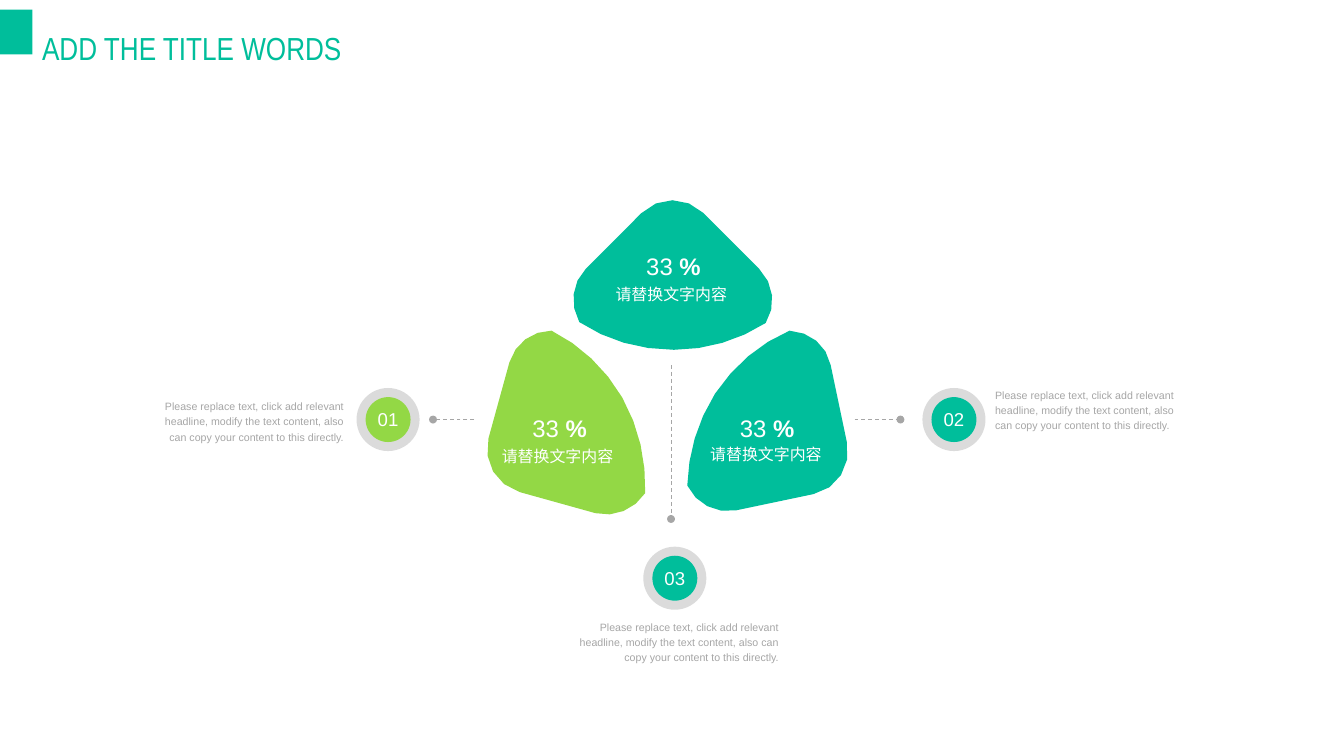
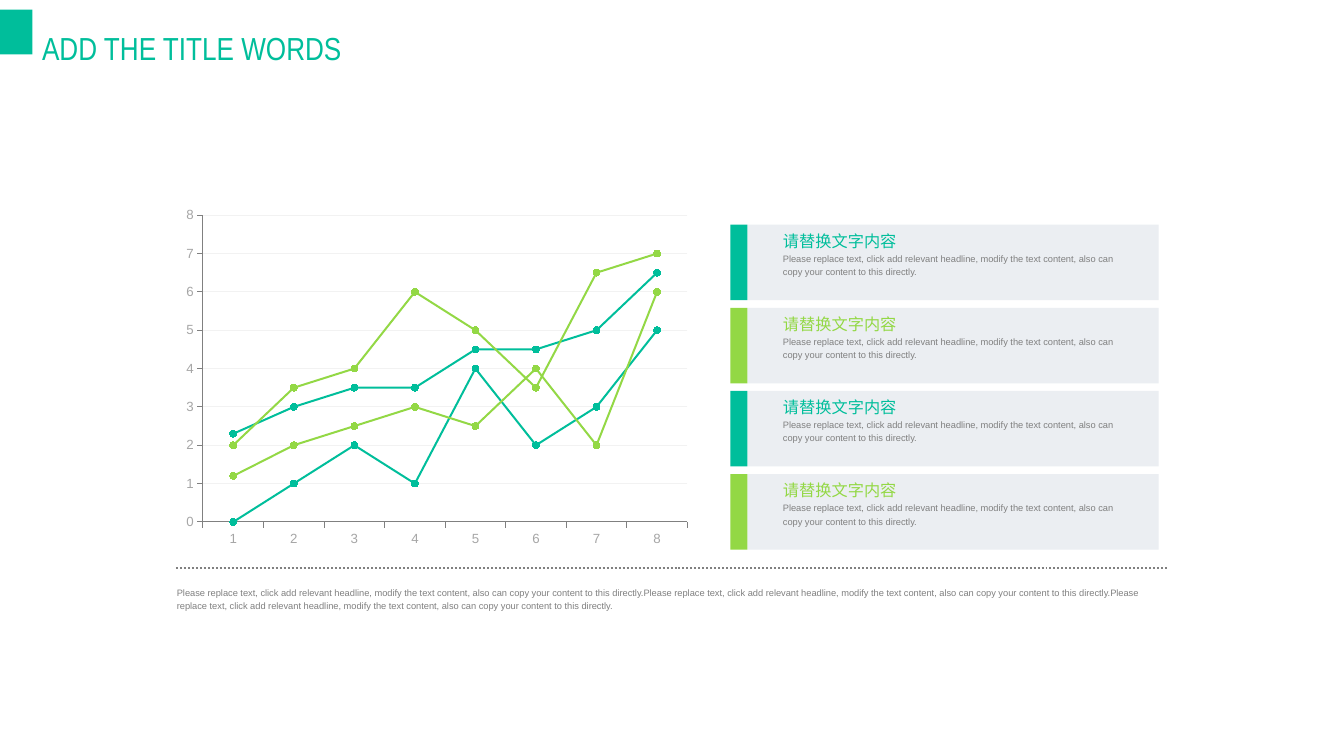
from dataclasses import dataclass

import pptx
import pptx.chart.data
import pptx.dml.color
import pptx.enum.chart
import pptx.enum.dml
import pptx.enum.shapes
import pptx.enum.text
import pptx.oxml.ns
import pptx.presentation
import pptx.shapes.autoshape
import pptx.slide
import pptx.text.text
import pptx.util

RGB = pptx.dml.color.RGBColor
SHAPE = pptx.enum.shapes.MSO_SHAPE
DASH = pptx.enum.dml.MSO_LINE
ALIGN = pptx.enum.text.PP_ALIGN
ANCHOR = pptx.enum.text.MSO_ANCHOR

TEAL = RGB(0x00, 0xBE, 0x9B)
LIME = RGB(0x93, 0xD8, 0x45)
WHITE = RGB(0xFF, 0xFF, 0xFF)
RING_GREY = RGB(0xDB, 0xDB, 0xDB)
CARD_GREY = RGB(0xEB, 0xEE, 0xF2)
GRID_GREY = RGB(0xF2, 0xF2, 0xF2)
LIGHT_GREY = RGB(0xA6, 0xA6, 0xA6)
MID_GREY = RGB(0x80, 0x80, 0x80)

EMU_PER_PX = 9144  # 100 px to the inch
FONT = "Arial"
TITLE_FONT = "Arial Narrow"
TITLE = "ADD THE TITLE WORDS"
HEADING = "请替换文字内容"
BODY = ("Please replace text, click add relevant headline, modify the text content, "
        "also can copy your content to this directly.")

Point = tuple[int, int]
Box = tuple[int, int, int, int]
# A segment of one point is a straight line, one of three points a cubic curve.
Segment = tuple[Point, ...]


@dataclass(frozen=True)
class Petal:
    color: RGB
    percent_at: Point
    label_at: Point
    start: Point
    segments: tuple[Segment, ...]


@dataclass(frozen=True)
class Callout:
    number: str
    color: RGB
    center: Point
    line_start: Point
    line_end: Point
    text_box: Box
    align: ALIGN


PETALS = (
    Petal(LIME, (536, 415), (523, 465), (623, 537), (
        ((643, 542), (664, 533), (675, 516)),
        ((676, 482), (669, 448), (651, 416)),
        ((633, 385), (607, 361), (577, 346)),
        ((557, 346), (539, 359), (533, 379)),
        ((511, 459),),
        ((505, 483), (519, 508), (544, 515)))),
    Petal(TEAL, (753, 415), (741, 463), (851, 517), (
        ((876, 512), (891, 487), (886, 463)),
        ((869, 382),),
        ((865, 361), (847, 347), (826, 346)),
        ((795, 359), (768, 382), (748, 412)),
        ((729, 442), (720, 475), (719, 508)),
        ((728, 527), (749, 538), (770, 534)))),
    Petal(TEAL, (655, 245), (642, 295), (736, 223), (
        ((718, 205), (689, 205), (671, 223)),
        ((613, 281),),
        ((598, 296), (596, 319), (606, 337)),
        ((635, 356), (668, 366), (705, 366)),
        ((740, 366), (773, 356), (801, 338)),
        ((812, 321), (810, 297), (794, 281)))),
)

CALLOUTS = (
    Callout("01", LIME, (406, 439), (496, 439), (453, 439), (155, 416, 205, 47), ALIGN.RIGHT),
    Callout("02", TEAL, (998, 439), (894, 439), (942, 439), (1041, 404, 205, 47), ALIGN.LEFT),
    Callout("03", TEAL, (706, 605), (702, 382), (702, 543), (582, 647, 233, 47), ALIGN.RIGHT),
)

SERIES = (
    (0, 1, 2, 1, 4, 2, 3, 5),
    (1.2, 2, 2.5, 3, 2.5, 4, 2, 6),
    (2.3, 3, 3.5, 3.5, 4.5, 4.5, 5, 6.5),
    (2, 3.5, 4, 6, 5, 3.5, 6.5, 7),
)
ALTERNATING = (TEAL, LIME, TEAL, LIME)
CARD_TOP, CARD_PITCH, CARD_HEIGHT = 235, 87, 79


def px(*lengths: float) -> list[pptx.util.Emu]:
    """Turn pixel lengths into EMU."""
    return [pptx.util.Emu(round(n * EMU_PER_PX)) for n in lengths]


def format_paragraph(p: pptx.text.text._Paragraph, size: float, color: RGB,
                     align: ALIGN = ALIGN.LEFT, spacing: float = 1.0,
                     font: str = FONT) -> None:
    p.alignment = align
    p.line_spacing = spacing
    for r in p.runs:
        r.font.size = pptx.util.Pt(size)
        r.font.name = font
        r.font.color.rgb = color


def fill_frame(tf: pptx.text.text.TextFrame, text: str, margin: int = 0,
               anchor: ANCHOR = ANCHOR.TOP) -> pptx.text.text._Paragraph:
    tf.word_wrap = True
    tf.margin_left, tf.margin_top, tf.margin_right, tf.margin_bottom = px(*[margin] * 4)
    tf.vertical_anchor = anchor
    tf.text = text
    return tf.paragraphs[0]


def add_text_shape(s: pptx.slide.Slide, box: Box, text: str, margin: int = 0,
                   anchor: ANCHOR = ANCHOR.TOP) -> pptx.text.text._Paragraph:
    """Add an unfilled rectangle that carries text."""
    sp = s.shapes.add_shape(SHAPE.RECTANGLE, *px(*box))
    sp.shadow.inherit = False
    sp.fill.background()
    sp.line.fill.background()
    return fill_frame(sp.text_frame, text, margin, anchor)


def paint(sp: pptx.shapes.autoshape.Shape, color: RGB) -> pptx.shapes.autoshape.Shape:
    sp.shadow.inherit = False
    sp.fill.solid()
    sp.fill.fore_color.rgb = color
    sp.line.fill.background()
    return sp


def add_filled(s: pptx.slide.Slide, kind: SHAPE, box: Box,
               color: RGB) -> pptx.shapes.autoshape.Shape:
    return paint(s.shapes.add_shape(kind, *px(*box)), color)


def add_disc(s: pptx.slide.Slide, center: Point, diameter: int,
             color: RGB) -> pptx.shapes.autoshape.Shape:
    x, y = center
    box = (x - diameter / 2, y - diameter / 2, diameter, diameter)
    return add_filled(s, SHAPE.OVAL, box, color)


def add_line(s: pptx.slide.Slide, start: Point, end: Point, color: RGB, width: float,
             dash: DASH, dot_at_end: bool = False) -> None:
    line = s.shapes.add_connector(pptx.enum.shapes.MSO_CONNECTOR.STRAIGHT, *px(*start, *end))
    line.line.color.rgb = color
    line.line.width = pptx.util.Pt(width)
    line.line.dash_style = dash
    props = line.element.spPr
    if dot_at_end:
        ln = props.find(pptx.oxml.ns.qn("a:ln"))
        ln.append(ln.makeelement(pptx.oxml.ns.qn("a:tailEnd"), {"type": "oval"}))
    props.append(props.makeelement(pptx.oxml.ns.qn("a:effectLst"), {}))


def curve_points(start: Point, segment: Segment, steps: int = 4) -> list[tuple[float, float]]:
    """Sample a cubic curve, without its first point."""
    points = []
    for i in range(1, steps + 1):
        t = i / steps
        weights = ((1 - t) ** 3, 3 * t * (1 - t) ** 2, 3 * t * t * (1 - t), t ** 3)
        x, y = (sum(w * n for w, n in zip(weights, axis)) for axis in zip(start, *segment))
        points.append((x, y))
    return points


def add_petal(s: pptx.slide.Slide, petal: Petal) -> None:
    outline = []
    here = petal.start
    for segment in petal.segments:
        outline += curve_points(here, segment) if len(segment) == 3 else segment
        here = segment[-1]
    builder = s.shapes.build_freeform(*px(*petal.start))
    builder.add_line_segments([px(*point) for point in outline], close=True)
    paint(builder.convert_to_shape(), petal.color)

    p = add_text_shape(s, (*petal.label_at, 123, 25), HEADING, 2, ANCHOR.MIDDLE)
    format_paragraph(p, 12, WHITE)

    p = add_text_shape(s, (*petal.percent_at, 99, 42), "33 ")
    r = p.add_run()
    r.text = "%"
    r.font.bold = True
    format_paragraph(p, 18, WHITE, ALIGN.CENTER, 1.6)


def add_callout(s: pptx.slide.Slide, callout: Callout) -> None:
    add_disc(s, callout.center, 66, RING_GREY)
    disc = add_disc(s, callout.center, 47, callout.color)
    p = fill_frame(disc.text_frame, callout.number, anchor=ANCHOR.MIDDLE)
    format_paragraph(p, 14, WHITE, ALIGN.CENTER)
    add_line(s, callout.line_start, callout.line_end, LIGHT_GREY, 0.75, DASH.DASH, True)
    p = add_text_shape(s, callout.text_box, BODY)
    p.space_before = pptx.util.Pt(7.9)
    format_paragraph(p, 8, LIGHT_GREY, callout.align, 1.2)


def add_card(s: pptx.slide.Slide, top: int, color: RGB) -> None:
    add_filled(s, SHAPE.RECTANGLE, (782, top, 430, CARD_HEIGHT), CARD_GREY)
    add_filled(s, SHAPE.RECTANGLE, (764, top, 18, CARD_HEIGHT), color)
    tf = s.shapes.add_textbox(*px(819, top + 3, 348, 53)).text_frame
    format_paragraph(fill_frame(tf, HEADING), 12.2, color, spacing=1.2)
    p = tf.add_paragraph()
    p.text = BODY
    format_paragraph(p, 7, MID_GREY, spacing=1.2)


def add_line_chart(s: pptx.slide.Slide, box: Box) -> None:
    data = pptx.chart.data.CategoryChartData()
    data.categories = [str(n) for n in range(1, 9)]
    for number, values in enumerate(SERIES, 1):
        data.add_series(f"Series {number}", values)
    kind = pptx.enum.chart.XL_CHART_TYPE.LINE_MARKERS
    chart = s.shapes.add_chart(kind, *px(*box), data).chart
    chart.has_legend = False
    chart.has_title = False
    chart.font.size = pptx.util.Pt(10)
    chart.font.name = FONT
    chart.font.color.rgb = LIGHT_GREY

    for axis in (chart.category_axis, chart.value_axis):
        axis.major_tick_mark = pptx.enum.chart.XL_TICK_MARK.OUTSIDE
        axis.format.line.color.rgb = MID_GREY
        axis.format.line.width = pptx.util.Pt(0.75)
    chart.category_axis.tick_label_position = pptx.enum.chart.XL_TICK_LABEL_POSITION.LOW
    values = chart.value_axis
    values.minimum_scale, values.maximum_scale, values.major_unit = 0, 8, 1
    values.major_gridlines.format.line.color.rgb = GRID_GREY
    values.major_gridlines.format.line.width = pptx.util.Pt(0.75)

    chart.plots[0].vary_by_categories = False
    for series, color in zip(chart.plots[0].series, ALTERNATING):
        series.smooth = False
        series.format.line.color.rgb = color
        series.format.line.width = pptx.util.Pt(1.5)
        series.marker.style = pptx.enum.chart.XL_MARKER_STYLE.CIRCLE
        series.marker.size = 5
        series.marker.format.fill.solid()
        series.marker.format.fill.fore_color.rgb = color
        series.marker.format.line.color.rgb = color


def add_titled_slide(prs: pptx.presentation.Presentation) -> pptx.slide.Slide:
    s = prs.slides.add_slide(prs.slide_layouts[5])
    title = s.shapes.title
    title.left, title.top, title.width, title.height = px(34, 5, 354, 63)
    tf = title.text_frame
    tf.auto_size = pptx.enum.text.MSO_AUTO_SIZE.NONE
    tf.vertical_anchor = ANCHOR.TOP
    tf.text = TITLE
    format_paragraph(tf.paragraphs[0], 24, TEAL, spacing=1.5, font=TITLE_FONT)
    return s


def add_master_tab(prs: pptx.presentation.Presentation, s: pptx.slide.Slide) -> None:
    """Draw the corner tab and move it to the slide master."""
    tab = add_filled(s, SHAPE.RECTANGLE, (0, 10, 34, 47), TEAL).element
    tab.nvSpPr.cNvPr.set("id", "100")
    prs.slide_master.shapes.element.append(tab)


def build_petal_slide(s: pptx.slide.Slide) -> None:
    for callout in CALLOUTS:
        add_callout(s, callout)
    for petal in PETALS:
        add_petal(s, petal)


def build_chart_slide(s: pptx.slide.Slide) -> None:
    add_line_chart(s, (184, 210, 546, 369))
    for i, color in enumerate(ALTERNATING):
        add_card(s, CARD_TOP + i * CARD_PITCH, color)
    add_line(s, (184, 594), (1222, 594), MID_GREY, 1.5, DASH.ROUND_DOT)
    tf = s.shapes.add_textbox(*px(185, 612, 1036, 27)).text_frame
    format_paragraph(fill_frame(tf, BODY * 3), 7, MID_GREY, spacing=1.2)


def main() -> None:
    prs = pptx.Presentation()
    prs.slide_width, prs.slide_height = px(1406, 791)
    petal_slide = add_titled_slide(prs)
    add_master_tab(prs, petal_slide)
    build_petal_slide(petal_slide)
    build_chart_slide(add_titled_slide(prs))
    prs.save("out.pptx")


if __name__ == "__main__":
    main()
